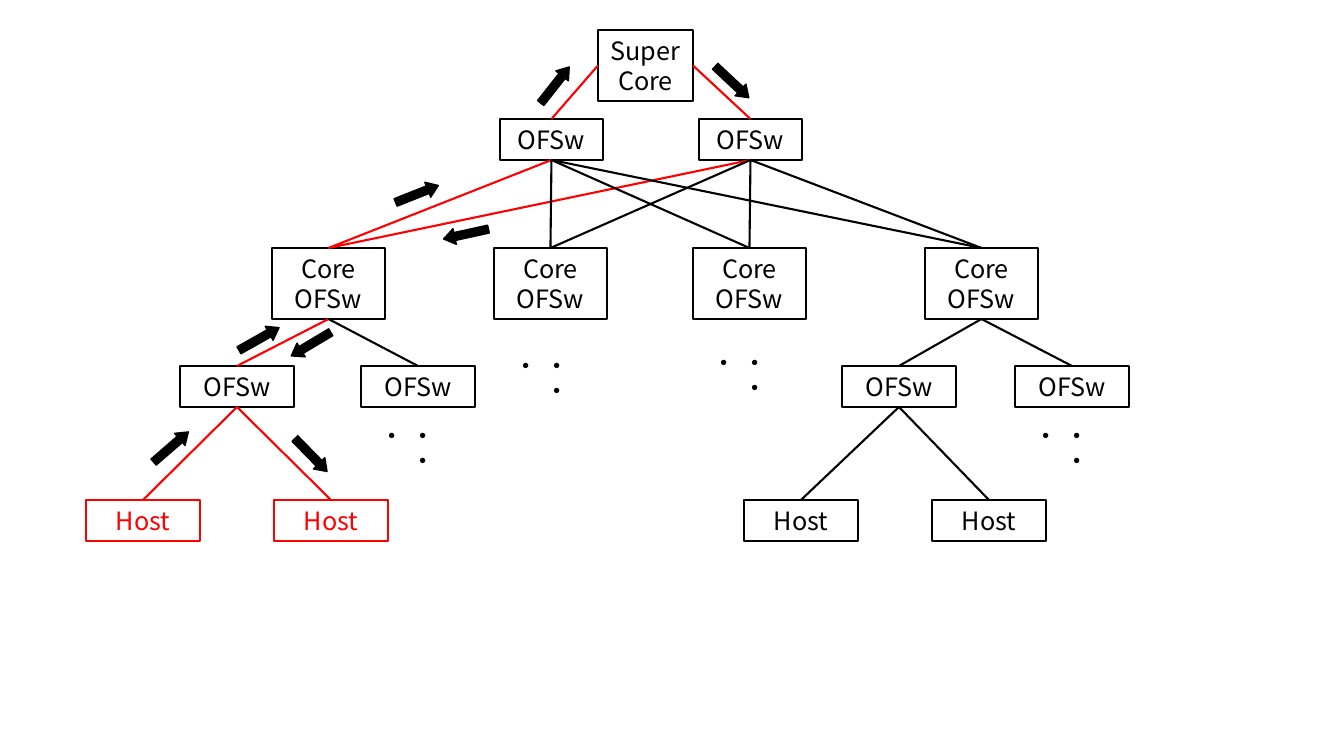
import pptx
import pptx.util
import pptx.dml.color
import pptx.enum.shapes
import pptx.enum.text
import pptx.oxml
import pptx.oxml.ns

PX = 914400 / 100.8
FONT = "Noto Sans CJK JP"
COLORS = {"black": "000000", "red": "FF0000"}
TOP, LEFT, BOTTOM, RIGHT = range(4)  # connection sites of a rectangle

# tier: (top, width, height, lines of text, {name: (left, color)})
TIERS = [
    (30, 95, 71, ["Super Core"], {"super": (598, "black")}),
    (119, 103, 41, ["OFSw"], {"upper1": (500, "black"), "upper2": (699, "black")}),
    (248, 113, 71, ["Core", "OFSw"], {
        "core1": (272, "black"), "core2": (494, "black"),
        "core3": (693, "black"), "core4": (925, "black")}),
    (366, 114, 41, ["OFSw"], {
        "lower1": (180, "black"), "lower2": (361, "black"),
        "lower3": (842, "black"), "lower4": (1015, "black")}),
    (500, 114, 41, ["Host"], {
        "host1": (86, "red"), "host2": (274, "red"),
        "host3": (744, "black"), "host4": (932, "black")}),
]

# (parent, children)
TREE = [
    ("upper2", ["core1", "core2", "core3", "core4"]),
    ("upper1", ["core1", "core2", "core3", "core4"]),
    ("core1", ["lower1", "lower2"]),
    ("core4", ["lower3", "lower4"]),
    ("lower1", ["host1", "host2"]),
    ("lower3", ["host3", "host4"]),
]
ROUTE = {"core1", "lower1", "host1", "host2"}  # reached by red links

ELLIPSES = [(392, 413), (526, 343), (724, 340), (1046, 413)]
ELLIPSIS_SIZE = (50, 93)

# (left, top, rotation)
ARROWS = [
    (236, 331, 330.5), (394, 186, 338.4), (532, 77, 308.3), (709, 74, 43),
    (443, 226, 167.6), (288, 336, 149.1), (288, 447, 45.7), (148, 439, 319.1),
]
ARROW_SIZE = (46, 16)


def px(*lengths):
    return [pptx.util.Emu(round(n * PX)) for n in lengths]


def rgb(name):
    return pptx.dml.color.RGBColor.from_string(COLORS[name])


def assign(target, values):
    for key, value in values.items():
        setattr(target, key, value)


def write(tf, lines, color, align, margins):
    assign(tf, {"word_wrap": True, **margins})
    for i, line in enumerate(lines):
        p = tf.paragraphs[0] if i == 0 else tf.add_paragraph()
        p.alignment = align
        r = p.add_run()
        r.text = line
        assign(r.font, {"size": pptx.util.Pt(18), "name": FONT})
        r.font.color.rgb = rgb(color)
        ea = pptx.oxml.parse_xml(
            f'<a:ea {pptx.oxml.ns.nsdecls("a")} typeface="{FONT}"/>')
        r.font._element.append(ea)


def outline(sp, color):
    sp.line.color.rgb = rgb(color)
    sp.line.width = pptx.util.Pt(1)
    sp.shadow.inherit = False


def add_box(s, bounds, lines, color):
    sp = s.shapes.add_shape(pptx.enum.shapes.MSO_SHAPE.RECTANGLE, *px(*bounds))
    sp.fill.background()
    outline(sp, color)
    margins = dict.fromkeys(
        ["margin_left", "margin_right", "margin_top", "margin_bottom"], 0)
    margins["vertical_anchor"] = pptx.enum.text.MSO_ANCHOR.MIDDLE
    write(sp.text_frame, lines, color, pptx.enum.text.PP_ALIGN.CENTER, margins)
    return sp


def link(s, start, start_site, end, end_site, color):
    cx = s.shapes.add_connector(
        pptx.enum.shapes.MSO_CONNECTOR.STRAIGHT, 0, 0, 0, 0)
    cx.begin_connect(start, start_site)
    cx.end_connect(end, end_site)
    cx.line.color.rgb = rgb(color)
    cx.line.width = pptx.util.Pt(1.5)
    cx._element.spPr.append(pptx.oxml.parse_xml(
        f'<a:effectLst {pptx.oxml.ns.nsdecls("a")}/>'))


def add_ellipsis(s, left, top):
    sp = s.shapes.add_textbox(*px(left, top, *ELLIPSIS_SIZE))
    write(sp.text_frame, ["・・・"], "black", None, {
        "auto_size": pptx.enum.text.MSO_AUTO_SIZE.SHAPE_TO_FIT_TEXT})
    sp.text_frame._txBody.bodyPr.set("vert", "eaVert")


def add_arrow(s, left, top, rotation):
    sp = s.shapes.add_shape(
        pptx.enum.shapes.MSO_SHAPE.RIGHT_ARROW, *px(left, top, *ARROW_SIZE))
    sp.rotation = rotation
    sp.adjustments[0], sp.adjustments[1] = 0.5, 0.71
    sp.fill.solid()
    sp.fill.fore_color.rgb = rgb("black")
    outline(sp, "black")


def main():
    prs = pptx.Presentation()
    prs.slide_width, prs.slide_height = px(1344, 756)
    s = prs.slides.add_slide(prs.slide_layouts[6])

    boxes = {}
    for top, width, height, lines, members in TIERS:
        for name, (left, color) in members.items():
            boxes[name] = add_box(s, (left, top, width, height), lines, color)

    for name, side in (("upper1", LEFT), ("upper2", RIGHT)):
        link(s, boxes[name], TOP, boxes["super"], side, "red")
    for parent, children in TREE:
        for child in children:
            color = "red" if child in ROUTE else "black"
            link(s, boxes[parent], BOTTOM, boxes[child], TOP, color)

    for position in ELLIPSES:
        add_ellipsis(s, *position)
    for arrow in ARROWS:
        add_arrow(s, *arrow)
    prs.save("out.pptx")


if __name__ == "__main__":
    main()
